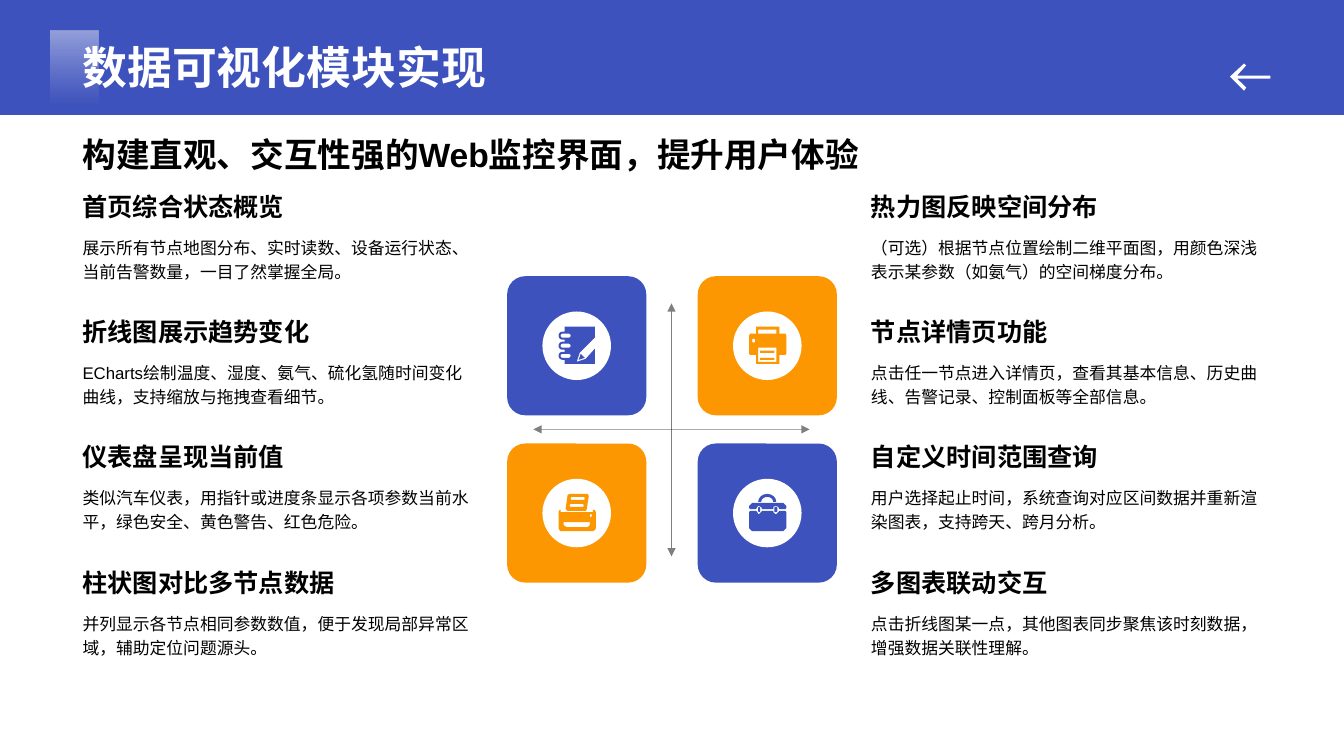
from dataclasses import dataclass
from math import cos, radians, sin

from pptx import Presentation
from pptx.dml.color import RGBColor
from pptx.enum.shapes import MSO_CONNECTOR, MSO_SHAPE
from pptx.enum.text import MSO_ANCHOR
from pptx.oxml.ns import qn
from pptx.oxml.xmlchemy import OxmlElement
from pptx.shapes.autoshape import Shape
from pptx.slide import Slide
from pptx.util import Pt

PX = 9144  # 100 px to the inch

Point = tuple[float, float]
Contour = list[Point]


@dataclass(frozen=True)
class Theme:
    blue: RGBColor = RGBColor(0x3D, 0x52, 0xBC)
    orange: RGBColor = RGBColor(0xFC, 0x97, 0x02)
    pale: RGBColor = RGBColor(0xD8, 0xDC, 0xF2)
    white: RGBColor = RGBColor(0xFF, 0xFF, 0xFF)
    black: RGBColor = RGBColor(0, 0, 0)
    font: str = "Arial"
    title: int = 32
    subtitle: int = 24
    heading: int = 18
    body: int = 12


THEME = Theme()


@dataclass(frozen=True)
class Box:
    left: int
    top: int
    width: int
    height: int

    def emu(self) -> tuple[int, int, int, int]:
        return self.left * PX, self.top * PX, self.width * PX, self.height * PX


@dataclass(frozen=True)
class Feature:
    heading: str
    body: str


@dataclass(frozen=True)
class Tile:
    left: int
    top: int
    color: RGBColor
    icon: list[Contour]


def arc(cx: float, cy: float, rx: float, ry: float, start: int, end: int) -> Contour:
    """Points along an ellipse, angles in degrees clockwise from the right."""
    steps = 8
    angles = [radians(start + (end - start) * i / steps) for i in range(steps + 1)]
    return [(cx + rx * cos(a), cy + ry * sin(a)) for a in angles]


def rounded(left: int, top: int, right: int, bottom: int, radius: int = 0) -> Contour:
    r = min(radius, (right - left) / 2, (bottom - top) / 2)
    centres = [(right - r, bottom - r), (left + r, bottom - r), (left + r, top + r), (right - r, top + r)]
    return [p for i, (x, y) in enumerate(centres) for p in arc(x, y, r, r, 90 * i, 90 * i + 90)]


RING_CENTRES = (29, 19, 9)
NOTEBOOK = [
    [(6, 0), (36, 0), (36, 11), (21, 26), (18, 35), (27, 32), (36, 22), (36, 37), (6, 37)]
    + [p for y in RING_CENTRES for p in [(6, y + 4), *arc(4, y, 4, 4, 90, 270), (6, y - 4)]],
    *[rounded(2, y - 2, 12, y + 2, 2) for y in RING_CENTRES],
    [(22, 27), (26, 31), (20, 33)],
]
PRINTER = [
    [(1, 7), (36, 7), (37, 9), (37, 27), (36, 28), (30, 28), (30, 37), (7, 37), (7, 28), (1, 28), (0, 27), (0, 9)],
    [(7, 0), (30, 0), (30, 7), (27, 7), (27, 3), (9, 3), (9, 7), (7, 7)],
    rounded(9, 21, 27, 35),
    rounded(11, 24, 25, 26),
    rounded(11, 31, 25, 33),
    rounded(3, 12, 6, 16, 2),
]
FAX = [
    [(2, 16), (2, 18), (34, 18), (34, 16), (36, 16), (37, 18), (37, 34), (36, 36), (34, 37),
     (2, 37), (1, 36), (0, 34), (0, 18), (1, 16)],
    [(5, 28), (31, 28), (31, 31), (29, 33), (8, 33), (5, 31)],
    [(11, 0), (29, 0), (30, 2), (28, 15), (27, 17), (9, 17), (7, 15), (9, 1)],
    rounded(31, 20, 33, 23, 1),
    rounded(12, 3, 26, 6, 2),
    rounded(11, 10, 25, 13, 2),
]
BRIEFCASE = [
    arc(18, 8, 9, 8, 180, 360) + arc(18, 8, 6, 5, 360, 180),
    [(3, 9), (34, 9), (37, 12), (37, 14), (36, 15), (30, 15), (29, 13), (27, 12), (26, 12), (24, 13),
     (24, 15), (13, 15), (12, 13), (10, 12), (9, 12), (8, 13), (7, 15), (1, 15), (0, 14), (0, 12)],
    [(13, 17), (24, 17), (24, 18), (26, 20), (27, 20), (29, 18), (30, 17), (36, 17), (37, 18), (37, 34),
     (34, 37), (3, 37), (0, 34), (0, 18), (1, 17), (7, 17), (8, 18), (9, 20), (10, 20), (12, 18)],
    rounded(9, 13, 11, 18, 1),
    rounded(25, 13, 28, 18, 1),
]
BACK_ARROW = [[(14, 0), (16, 2), (7, 12), (40, 12), (40, 15), (7, 15), (16, 24), (14, 27), (0, 13)]]

TILES = [
    Tile(503, 274, THEME.blue, NOTEBOOK),
    Tile(692, 274, THEME.orange, PRINTER),
    Tile(503, 440, THEME.orange, FAX),
    Tile(692, 440, THEME.blue, BRIEFCASE),
]
COLUMNS = {
    72: [
        Feature("首页综合状态概览", "展示所有节点地图分布、实时读数、设备运行状态、当前告警数量，一目了然掌握全局。"),
        Feature("折线图展示趋势变化", "ECharts绘制温度、湿度、氨气、硫化氢随时间变化曲线，支持缩放与拖拽查看细节。"),
        Feature("仪表盘呈现当前值", "类似汽车仪表，用指针或进度条显示各项参数当前水平，绿色安全、黄色警告、红色危险。"),
        Feature("柱状图对比多节点数据", "并列显示各节点相同参数数值，便于发现局部异常区域，辅助定位问题源头。"),
    ],
    854: [
        Feature("热力图反映空间分布", "（可选）根据节点位置绘制二维平面图，用颜色深浅表示某参数（如氨气）的空间梯度分布。"),
        Feature("节点详情页功能", "点击任一节点进入详情页，查看其基本信息、历史曲线、告警记录、控制面板等全部信息。"),
        Feature("自定义时间范围查询", "用户选择起止时间，系统查询对应区间数据并重新渲染图表，支持跨天、跨月分析。"),
        Feature("多图表联动交互", "点击折线图某一点，其他图表同步聚焦该时刻数据，增强数据关联性理解。"),
    ],
}


def paint(shape: Shape, color: RGBColor) -> None:
    shape.shadow.inherit = False
    shape.fill.solid()
    shape.fill.fore_color.rgb = color
    shape.line.fill.background()


def add_filled(slide: Slide, kind: MSO_SHAPE, box: Box, color: RGBColor) -> Shape:
    shape = slide.shapes.add_shape(kind, *box.emu())
    paint(shape, color)
    return shape


def add_outline(slide: Slide, left: int, top: int, contours: list[Contour], color: RGBColor) -> None:
    """Draw contours as one shape, inner ones cutting holes."""
    scaled = [[(x * PX, y * PX) for x, y in contour] for contour in contours]
    builder = slide.shapes.build_freeform(*scaled[0][0])
    for i, contour in enumerate(scaled):
        if i:
            builder.move_to(*contour[0])
        builder.add_line_segments(contour[1:], close=True)
    paint(builder.convert_to_shape(left * PX, top * PX), color)


def add_text(slide: Slide, box: Box, text: str, size: int, color: RGBColor = THEME.black, bold: bool = True,
             anchor: MSO_ANCHOR = MSO_ANCHOR.MIDDLE, spacing: float = 1.0) -> None:
    frame = slide.shapes.add_textbox(*box.emu()).text_frame
    frame.word_wrap = True
    frame.vertical_anchor = anchor
    paragraph = frame.paragraphs[0]
    paragraph.line_spacing = spacing
    run = paragraph.add_run()
    run.text = text
    run.font.name, run.font.size, run.font.bold = THEME.font, Pt(size), bold
    run.font.color.rgb = color


def set_opacity(color_element, percent: int) -> None:
    alpha = OxmlElement("a:alpha")
    alpha.set("val", str(percent * 1000))
    color_element.append(alpha)


def add_axis(slide: Slide, x1: int, y1: int, x2: int, y2: int) -> None:
    axis = slide.shapes.add_connector(MSO_CONNECTOR.STRAIGHT, x1 * PX, y1 * PX, x2 * PX, y2 * PX)
    axis.line.width = Pt(0.5)
    axis.line.color.rgb = THEME.black
    properties = axis._element.spPr
    line = properties.find(qn("a:ln"))
    set_opacity(next(line.iter(qn("a:srgbClr"))), 50)
    for tag in ("a:headEnd", "a:tailEnd"):
        end = OxmlElement(tag)
        end.set("type", "triangle")
        line.append(end)
    properties.append(OxmlElement("a:effectLst"))


def add_header(slide: Slide) -> None:
    add_filled(slide, MSO_SHAPE.RECTANGLE, Box(0, 0, 1333, 114), THEME.blue)
    glow = add_filled(slide, MSO_SHAPE.RECTANGLE, Box(50, 30, 48, 83), THEME.white)
    glow.fill.gradient()
    glow.fill.gradient_angle = 270
    stops = zip(glow.fill.gradient_stops, (0, 0.9), (THEME.white, THEME.pale))
    for stop, position, color in stops:
        stop.position = position
        stop.color.rgb = color
    for element, opacity in zip(list(glow._element.spPr.iter(qn("a:srgbClr"))), (45, 0)):
        set_opacity(element, opacity)
    add_outline(slide, 1220, 63, BACK_ARROW, THEME.white)
    add_text(slide, Box(72, 31, 1142, 67), "数据可视化模块实现", THEME.title, THEME.white, anchor=MSO_ANCHOR.BOTTOM)


def add_tile(slide: Slide, tile: Tile) -> None:
    card = add_filled(slide, MSO_SHAPE.ROUNDED_RECTANGLE, Box(tile.left, tile.top, 138, 138), tile.color)
    card.adjustments[0] = 0.13
    add_filled(slide, MSO_SHAPE.OVAL, Box(tile.left + 35, tile.top + 35, 68, 68), THEME.white)
    add_outline(slide, tile.left + 51, tile.top + 50, tile.icon, tile.color)


def main() -> None:
    deck = Presentation()
    deck.slide_width, deck.slide_height = 1333 * PX, 750 * PX
    slide = deck.slides.add_slide(deck.slide_layouts[6])
    add_header(slide)
    add_text(slide, Box(72, 124, 1188, 58), "构建直观、交互性强的Web监控界面，提升用户体验", THEME.subtitle)
    for left, features in COLUMNS.items():
        for row, feature in enumerate(features):
            top = 182 + row * 373 // 3
            add_text(slide, Box(left, top, 405, 45), feature.heading, THEME.heading)
            add_text(slide, Box(left, top + 45, 405, 70), feature.body, THEME.body, bold=False,
                     anchor=MSO_ANCHOR.TOP, spacing=1.2)
    add_axis(slide, 666, 301, 666, 552)
    add_axis(slide, 529, 426, 803, 426)
    for tile in TILES:
        add_tile(slide, tile)
    deck.save("out.pptx")


if __name__ == "__main__":
    main()
